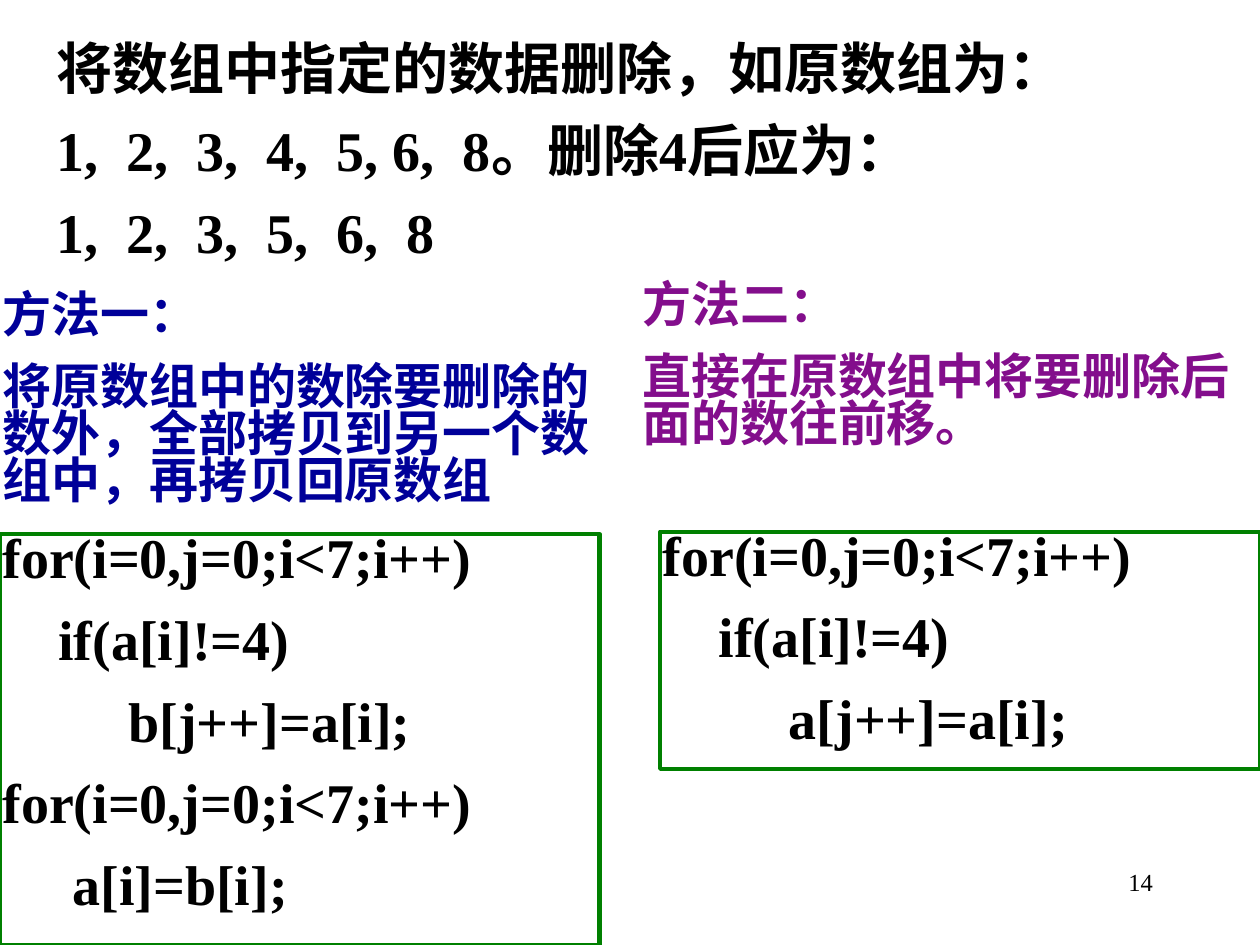
from collections import namedtuple
from lxml import etree
from pptx import Presentation
from pptx.dml.color import RGBColor
from pptx.enum.lang import MSO_LANGUAGE_ID as Language
from pptx.enum.shapes import MSO_SHAPE as Shape
from pptx.enum.text import MSO_ANCHOR as Anchor, MSO_AUTO_SIZE as AutoSize, PP_ALIGN as Align
from pptx.oxml.ns import qn
from pptx.util import Cm, Pt

BLACK = RGBColor(0x00, 0x00, 0x00)
NAVY = RGBColor(0x00, 0x00, 0x99)
PURPLE = RGBColor(0x83, 0x0E, 0x8C)
GREEN = RGBColor(0x00, 0x80, 0x00)
SERIF = "Times New Roman"
SANS = "Noto Sans CJK SC"

Box = namedtuple("Box", "left top width height")

TASK = [
    "将数组中指定的数据删除，如原数组为：",
    "1,  2,  3,  4,  5, 6,  8。删除4后应为：",
    "1,  2,  3,  5,  6,  8",
]
COPY_METHOD = ["方法一：", "将原数组中的数除要删除的数外，全部拷贝到另一个数组中，再拷贝回原数组"]
SHIFT_METHOD = ["方法二：", "直接在原数组中将要删除后面的数往前移。"]
LOOP = ["for(i=0,j=0;i<7;i++)", "    if(a[i]!=4)"]
COPY_CODE = LOOP + ["         b[j++]=a[i];", LOOP[0], "     a[i]=b[i];"]
SHIFT_CODE = LOOP + ["         a[j++]=a[i];"]


def place(shape, box):
    shape.left, shape.top = Cm(box.left), Cm(box.top)
    shape.width, shape.height = Cm(box.width), Cm(box.height)


def set_half_line_before(para):
    para.space_before = Pt(0)
    spacing = para._p.pPr.find(qn("a:spcBef"))
    spacing.clear()
    etree.SubElement(spacing, qn("a:spcPct")).set("val", "50000")


def write_lines(shape, lines, size, font_name, color):
    frame = shape.text_frame
    frame.word_wrap = True
    frame.auto_size = AutoSize.NONE
    frame.vertical_anchor = Anchor.TOP
    frame.margin_left = frame.margin_right = Cm(0.05)
    frame.margin_top = frame.margin_bottom = Cm(0.03)
    frame.text = "\n".join(lines)
    for index, para in enumerate(frame.paragraphs):
        para.alignment = Align.LEFT
        para.line_spacing = 0.8
        if index:
            set_half_line_before(para)
        for span in para.runs:
            span.font.size = Pt(size)
            span.font.name = font_name
            span.font.bold = True
            span.font.color.rgb = color
            span.font.language_id = Language.SIMPLIFIED_CHINESE


def add_task(page, box):
    title = page.shapes.title
    place(title, box)
    write_lines(title, TASK, 32, SERIF, BLACK)


def add_method(page, box, lines, color):
    label = page.shapes.add_textbox(0, 0, 0, 0)
    place(label, box)
    write_lines(label, lines, 28, SANS, color)


def add_code(page, box, lines):
    panel = page.shapes.add_shape(Shape.RECTANGLE, 0, 0, 0, 0)
    place(panel, box)
    panel.shadow.inherit = False
    panel.fill.background()
    panel.line.color.rgb = GREEN
    panel.line.width = Pt(2.5)
    write_lines(panel, lines, 32, SERIF, BLACK)


def add_page_number(page, box, number):
    label = page.shapes.add_textbox(0, 0, 0, 0)
    place(label, box)
    label.text_frame.word_wrap = True
    label.text_frame.text = number
    para = label.text_frame.paragraphs[0]
    para.alignment = Align.RIGHT
    para.font.size = Pt(14)
    para.font.name = SERIF
    para.font.color.rgb = BLACK


def main():
    deck = Presentation()
    deck.slide_width, deck.slide_height = Cm(25.4), Cm(19.05)
    page = deck.slides.add_slide(deck.slide_layouts[5])
    add_page_number(page, Box(18.21, 17.35, 5.28, 1.27), "14")
    add_task(page, Box(1.09, 0.91, 23.39, 4.67))
    add_method(page, Box(0, 5.92, 12.5, 4.45), COPY_METHOD, NAVY)
    add_code(page, Box(0, 10.77, 12.09, 8.28), COPY_CODE)
    add_method(page, Box(12.9, 5.72, 12.5, 3.51), SHIFT_METHOD, PURPLE)
    add_code(page, Box(13.31, 10.72, 12.09, 4.78), SHIFT_CODE)
    deck.save("out.pptx")


if __name__ == "__main__":
    main()
